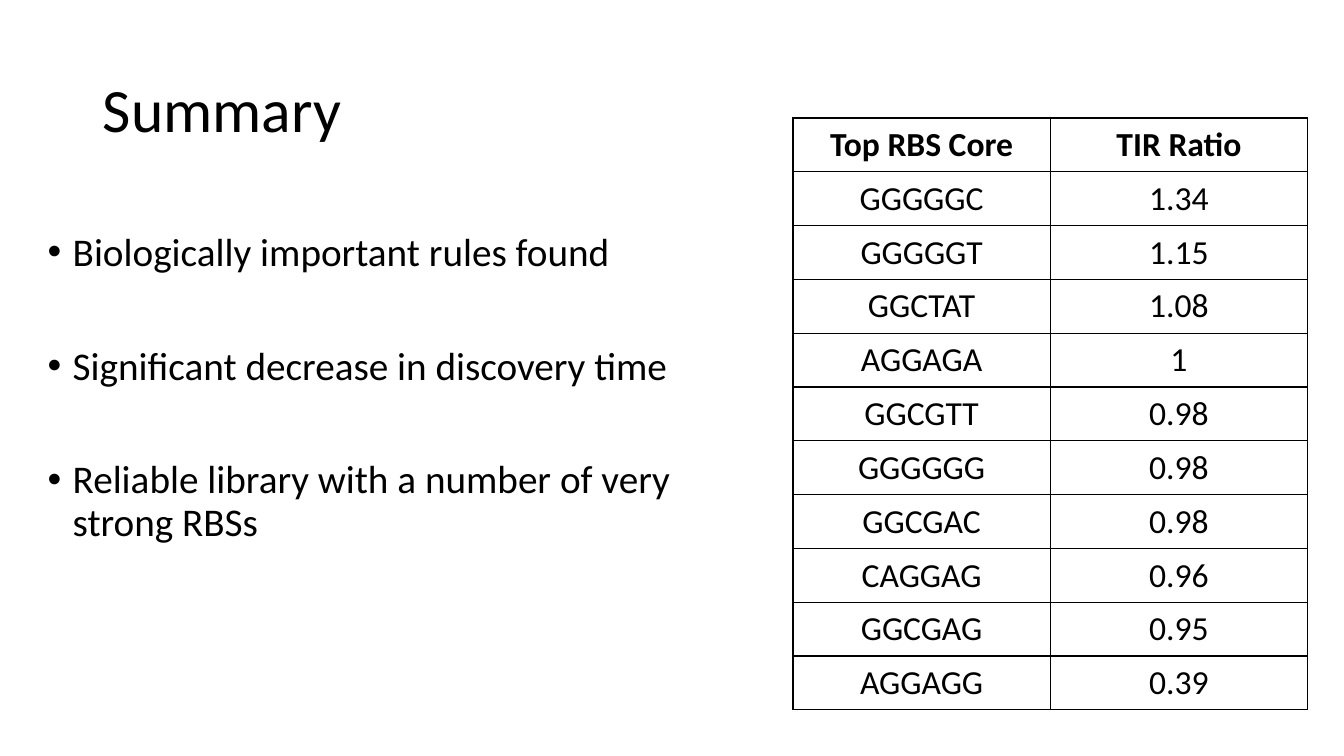
"""Build the summary slide with its key points and its RBS table."""
from dataclasses import dataclass

import pptx
import pptx.dml.color
import pptx.enum.text
import pptx.oxml
import pptx.oxml.ns
import pptx.util
from lxml import etree

Inches, Pt = pptx.util.Inches, pptx.util.Pt
Align, Anchor = pptx.enum.text.PP_ALIGN, pptx.enum.text.MSO_ANCHOR

POINTS = [
    "Biologically important rules found",
    "Significant decrease in discovery time",
    "Reliable library with a number of very strong RBSs",
]
RATIOS = [
    ("Top RBS Core", "TIR Ratio"),
    ("GGGGGC", "1.34"),
    ("GGGGGT", "1.15"),
    ("GGCTAT", "1.08"),
    ("AGGAGA", "1"),
    ("GGCGTT", "0.98"),
    ("GGGGGG", "0.98"),
    ("GGCGAC", "0.98"),
    ("CAGGAG", "0.96"),
    ("GGCGAG", "0.95"),
    ("AGGAGG", "0.39"),
]


@dataclass(frozen=True)
class Theme:
    """Hold the colours, font and sizes of the deck."""
    ink: str = "000000"
    font: str = "Calibri"
    title: float = 44
    body: float = 28
    cell: float = 24
    border: float = 1
    line_spacing: float = 0.9
    point_gap: float = 51
    indent: float = 0.25
    width: float = 13.33
    height: float = 7.5


def apply(target, values):
    """Set each named format value on the target."""
    for name, value in values.items():
        setattr(target, name, value)


class Page:
    """Draw styled elements on one slide, placed by percentages of its size."""

    def __init__(self, deck, theme):
        """Size the deck and add a title-only slide."""
        self.theme = theme
        apply(deck, {"slide_width": Inches(theme.width),
                     "slide_height": Inches(theme.height)})
        self.slide = deck.slides.add_slide(deck.slide_layouts[5])

    def area(self, left, top, width, height):
        """Turn percentages of the slide into lengths."""
        across, down = self.theme.width / 100, self.theme.height / 100
        return {"left": Inches(left * across), "top": Inches(top * down),
                "width": Inches(width * across), "height": Inches(height * down)}

    def add_span(self, para, text, size, bold=False, **layout):
        """Fill a paragraph with one styled span."""
        apply(para, layout)
        span = para.add_run()
        span.text = text
        apply(span.font, {"name": self.theme.font, "size": Pt(size), "bold": bold})
        span.font.color.rgb = pptx.dml.color.RGBColor.from_string(self.theme.ink)

    def title(self, text, *shares):
        """Place and fill the title placeholder."""
        box = self.slide.shapes.title
        apply(box, self.area(*shares))
        apply(box.text_frame, {"vertical_anchor": Anchor.MIDDLE, "word_wrap": True,
                               "auto_size": pptx.enum.text.MSO_AUTO_SIZE.NONE})
        self.add_span(box.text_frame.paragraphs[0], text, self.theme.title,
                      alignment=Align.LEFT, line_spacing=self.theme.line_spacing)

    def bullets(self, points, *shares):
        """Add a box of evenly spaced bullet points."""
        frame = self.slide.shapes.add_textbox(**self.area(*shares)).text_frame
        frame.word_wrap = True
        for index, point in enumerate(points):
            para = frame.add_paragraph() if index else frame.paragraphs[0]
            properties = para._p.get_or_add_pPr()
            indent = Inches(self.theme.indent)
            properties.set("marL", str(indent))
            properties.set("indent", str(-indent))
            for tag, key, value in (("a:buFont", "typeface", "Arial"),
                                    ("a:buChar", "char", "•")):
                etree.SubElement(properties, pptx.oxml.ns.qn(tag)).set(key, value)
            self.add_span(para, point, self.theme.body,
                          line_spacing=self.theme.line_spacing,
                          space_before=Pt(self.theme.point_gap if index else 0))

    def border(self, cell):
        """Rule all four sides of a cell."""
        properties = cell._tc.get_or_add_tcPr()
        for place, side in enumerate(("lnL", "lnR", "lnT", "lnB")):
            properties.insert(place, pptx.oxml.parse_xml(
                f'<a:{side} {pptx.oxml.ns.nsdecls("a")} w="{Pt(self.theme.border)}">'
                f'<a:solidFill><a:srgbClr val="{self.theme.ink}"/></a:solidFill>'
                f'</a:{side}>'))

    def table(self, rows, *shares):
        """Add a ruled table with equal rows and a bold heading."""
        area = self.area(*shares)
        table = self.slide.shapes.add_table(len(rows), len(rows[0]), **area).table
        apply(table, {"first_row": False, "horz_banding": False})
        for line in table.rows:
            line.height = int(area["height"] / len(rows))
        for row, values in enumerate(rows):
            for column, value in enumerate(values):
                cell = table.cell(row, column)
                apply(cell, {"margin_left": Pt(9.6), "margin_right": Pt(9.6),
                             "margin_top": Pt(4.8), "margin_bottom": Pt(4.8)})
                cell.fill.background()
                self.border(cell)
                self.add_span(cell.text_frame.paragraphs[0], value, self.theme.cell,
                              bold=row == 0, alignment=Align.CENTER)


def main():
    """Build and save the deck."""
    deck = pptx.Presentation()
    page = Page(deck, Theme())
    page.bullets(POINTS, 2.8, 30.1, 48, 61.9)
    page.title("Summary", 6.9, 5.3, 86.3, 19.3)
    page.table(RATIOS, 59, 15.6, 38.3, 78.3)
    deck.save("out.pptx")


if __name__ == "__main__":
    main()
